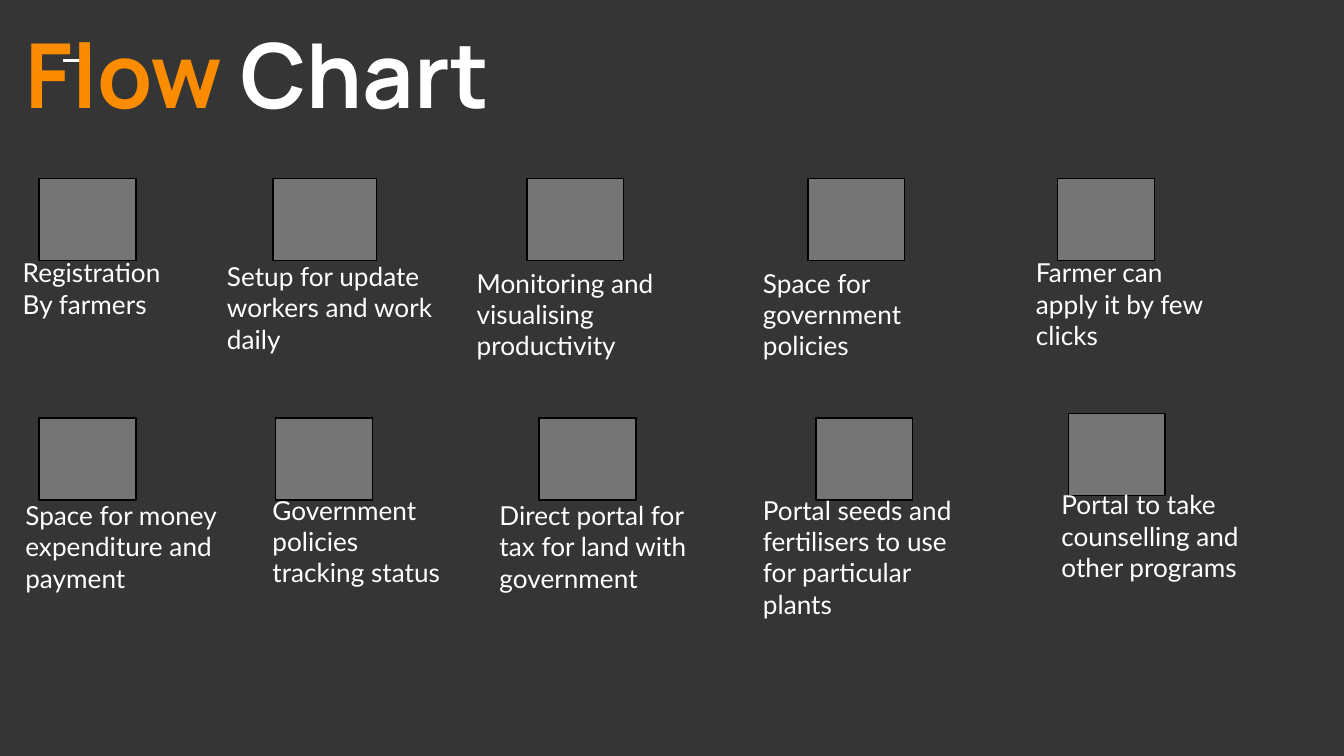
from dataclasses import dataclass

from lxml.etree import SubElement
from pptx import Presentation
from pptx.dml.color import RGBColor
from pptx.enum.shapes import MSO_CONNECTOR, MSO_SHAPE
from pptx.enum.text import MSO_ANCHOR, MSO_AUTO_SIZE
from pptx.oxml.ns import qn
from pptx.slide import Slide
from pptx.util import Cm, Pt

BACKGROUND = RGBColor(0x35, 0x35, 0x35)
ORANGE = RGBColor(0xFB, 0x8C, 0x00)
WHITE = RGBColor(0xFF, 0xFF, 0xFF)
GREY = RGBColor(0x75, 0x75, 0x75)
BLACK = RGBColor(0x00, 0x00, 0x00)

TILE_HEIGHT = 1.55
INSET = Cm(0.25)


@dataclass(frozen=True)
class Step:
    """One stage of the flow: a tile and its caption, in centimetres."""
    caption: str
    tile_left: float
    tile_top: float
    left: float
    top: float
    width: float
    height: float = 2.31
    tile_width: float = 1.83


UPPER, LOWER = 3.38, 7.9

STEPS = (
    Step("Registration\nBy farmers", 0.74, UPPER, 0.18, 4.6, 3.18, height=1.7),
    Step("Setup for update workers and work daily",
         5.16, UPPER, 4.04, 4.67, 4.7, tile_width=1.96),
    Step("Monitoring and visualising productivity", 9.96, UPPER, 8.76, 4.8, 4.45),
    Step("Space for government policies", 15.27, UPPER, 14.17, 4.8, 4.45),
    Step("Farmer can apply it by few clicks", 19.99, UPPER, 19.33, 4.6, 4.04),
    Step("Space for money expenditure and payment", 0.74, LOWER, 0.23, 9.19, 4.14),
    Step("Government policies tracking status", 5.21, LOWER, 4.9, 9.09, 3.71),
    Step("Direct portal for tax for land with government",
         10.19, LOWER, 9.19, 9.19, 4.55),
    Step("Portal seeds and fertilisers to use for particular plants",
         15.42, LOWER, 14.17, 9.09, 4.7, height=2.9),
    Step("Portal to take counselling and other programs",
         20.19, 7.82, 19.81, 8.99, 4.7),
)


def add_text(slide: Slide, *lines: tuple[tuple[str, RGBColor], ...],
             left: float, top: float, width: float, height: float,
             font: str, size: float, bold: bool = False,
             auto_size: MSO_AUTO_SIZE = MSO_AUTO_SIZE.NONE) -> None:
    """Add a text box; each line is a paragraph of (text, colour) runs."""
    frame = slide.shapes.add_textbox(
        Cm(left), Cm(top), Cm(width), Cm(height)).text_frame
    frame.word_wrap = True
    frame.auto_size = auto_size
    frame.vertical_anchor = MSO_ANCHOR.TOP
    frame.margin_left = frame.margin_right = INSET
    frame.margin_top = frame.margin_bottom = INSET
    for index, line in enumerate(lines):
        paragraph = frame.add_paragraph() if index else frame.paragraphs[0]
        for text, colour in line:
            run = paragraph.add_run()
            run.text = text
            run.font.name = font
            run.font.size = Pt(size)
            run.font.bold = bold
            run.font.color.rgb = colour


def add_accent_line(slide: Slide) -> None:
    accent = slide.shapes.add_connector(
        MSO_CONNECTOR.STRAIGHT, Cm(1.19), Cm(1.14), Cm(1.7), Cm(1.14))
    accent.line.color.rgb = WHITE
    accent.line.width = Pt(1.5)
    SubElement(accent.element.spPr, qn("a:effectLst"))


def add_tile(slide: Slide, step: Step) -> None:
    tile = slide.shapes.add_shape(
        MSO_SHAPE.RECTANGLE, Cm(step.tile_left), Cm(step.tile_top),
        Cm(step.tile_width), Cm(TILE_HEIGHT))
    tile.shadow.inherit = False
    tile.fill.solid()
    tile.fill.fore_color.rgb = GREY
    tile.line.color.rgb = BLACK
    tile.line.width = Pt(0.75)


def add_caption(slide: Slide, step: Step) -> None:
    lines = [((line, WHITE),) for line in step.caption.split("\n")]
    add_text(slide, *lines, left=step.left, top=step.top,
             width=step.width, height=step.height, font="Lato", size=14,
             auto_size=MSO_AUTO_SIZE.SHAPE_TO_FIT_TEXT)


def main() -> None:
    presentation = Presentation()
    presentation.slide_width = Cm(25.4)
    presentation.slide_height = Cm(14.29)
    slide = presentation.slides.add_slide(presentation.slide_layouts[6])
    slide.background.fill.solid()
    slide.background.fill.fore_color.rgb = BACKGROUND

    add_accent_line(slide)
    add_text(slide, (("Flow", ORANGE), (" Chart", WHITE)),
             left=0.23, top=0.1, width=23.95, height=2.26,
             font="Manrope", size=48, bold=True)
    for step in STEPS:
        add_tile(slide, step)
    for step in STEPS:
        add_caption(slide, step)

    presentation.save("out.pptx")


if __name__ == "__main__":
    main()
